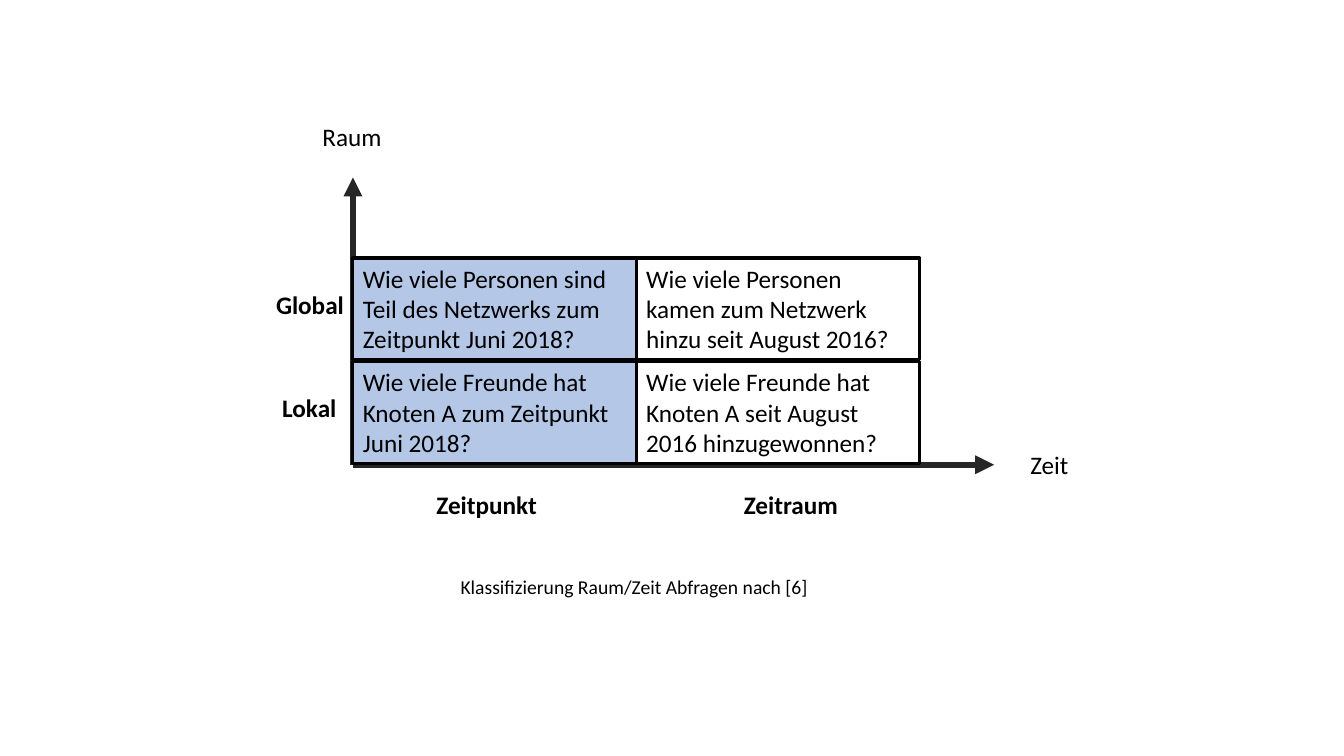
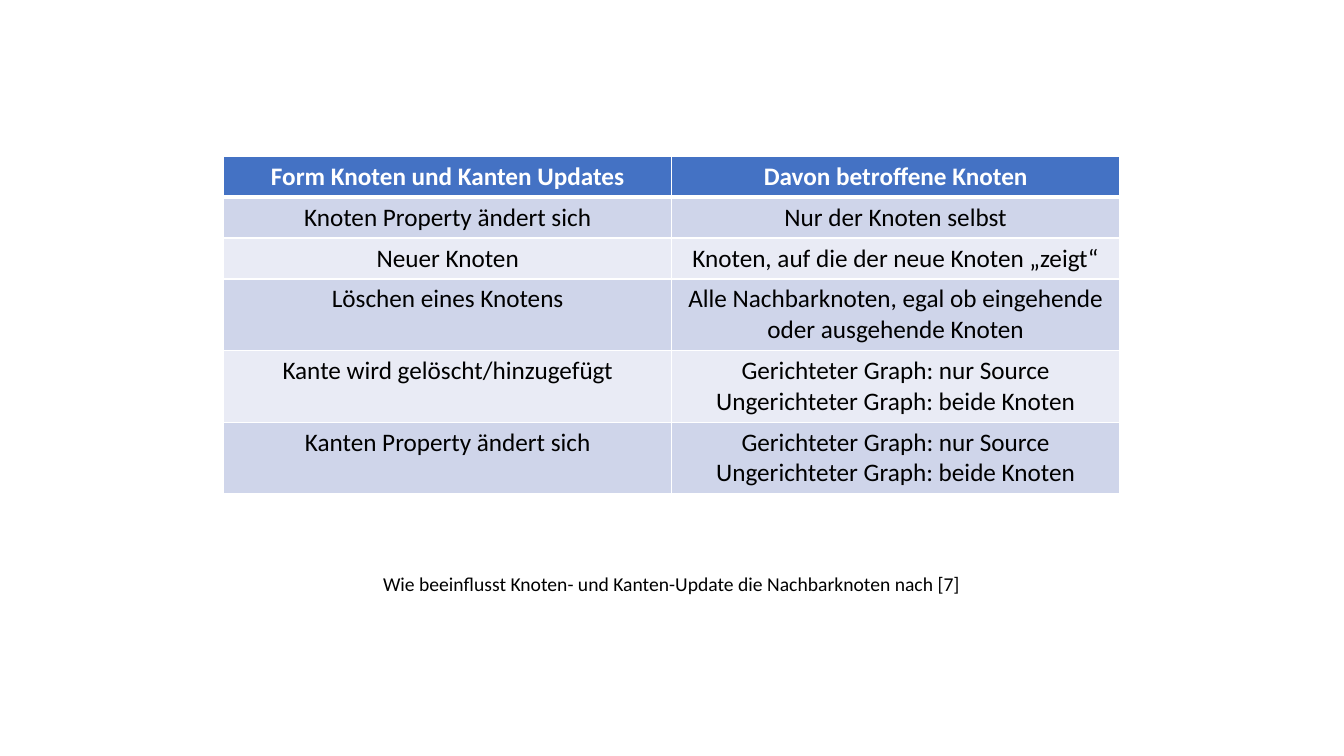
from dataclasses import dataclass
from typing import Any, Optional

from lxml import etree
from pptx import Presentation
from pptx import util as u
from pptx.dml.color import RGBColor
from pptx.enum import shapes, text
from pptx.oxml.ns import qn

SLIDE_WIDTH, SLIDE_HEIGHT = u.Inches(13.333), u.Inches(7.5)
BLANK_LAYOUT = 6

BLACK = RGBColor(0x00, 0x00, 0x00)
WHITE = RGBColor(0xFF, 0xFF, 0xFF)
AXIS_GREY = RGBColor(0x26, 0x26, 0x26)
POINT_BLUE = RGBColor(0xB4, 0xC7, 0xE7)
HEADER_BLUE = RGBColor(0x44, 0x72, 0xC4)
BANDS = (RGBColor(0xCF, 0xD5, 0xEA), RGBColor(0xE9, 0xEB, 0xF5))

BODY = {"name": "Calibri", "size": u.Pt(18), "bold": False}
BOLD = BODY | {"bold": True}
CAPTION = BODY | {"size": u.Pt(14)}

# All lengths below are percentages of the slide's width (x) or height (y).
MATRIX_LEFT, MATRIX_TOP = 26.26, 34.13
MATRIX_COLUMN, MATRIX_ROW = 21.08, 13.73
BOX_HEIGHT = 13.47
AXIS_Y = 61.47
LABEL_HEIGHT, CAPTION_HEIGHT = 5.33, 4.53
TABLE_LEFT, TABLE_TOP, TABLE_COLUMN = 16.65, 20.67, 33.33
ONE_LINE_ROW, TWO_LINE_ROW = 5.41, 9.47


@dataclass(frozen=True)
class Label:
    """An unwrapped line of text."""
    words: str
    left: float
    top: float
    width: float
    height: float = LABEL_HEIGHT
    style: Optional[dict] = None


@dataclass(frozen=True)
class Axis:
    """An arrow from the matrix corner to an end point."""
    end_x: float
    end_y: float


@dataclass(frozen=True)
class TableRow:
    """The two texts of a table row and its height."""
    update: str
    affected: str
    height: float = ONE_LINE_ROW


AXES = (Axis(MATRIX_LEFT, 23.47), Axis(73.97, AXIS_Y))
QUESTIONS = (
    ("Wie viele Personen sind Teil des Netzwerks zum Zeitpunkt Juni 2018?",
     "Wie viele Personen kamen zum Netzwerk hinzu seit August 2016?"),
    ("Wie viele Freunde hat Knoten A zum Zeitpunkt Juni 2018?",
     "Wie viele Freunde hat Knoten A seit August 2016 hinzugewonnen?"),
)
MATRIX_LABELS = (
    Label("Global", 19.8, 37.6, 6.6, style=BOLD),
    Label("Raum", 23.26, 15.33, 5.93),
    Label("Lokal", 20.26, 51.2, 5.63, style=BOLD),
    Label("Zeitpunkt", 31.73, 64, 9.08, style=BOLD),
    Label("Zeitraum", 54.61, 64, 8.55, style=BOLD),
    Label("Zeit", 75.92, 58.8, 4.35),
    Label("Klassifizierung Raum/Zeit Abfragen nach [6]",
          33.53, 75.33, 27.61, CAPTION_HEIGHT, CAPTION),
)
GRAPH_RULE = "Gerichteter Graph: nur Source\nUngerichteter Graph: beide Knoten"
TABLE_ROWS = (
    TableRow("Form Knoten und Kanten Updates", "Davon betroffene Knoten"),
    TableRow("Knoten Property ändert sich", "Nur der Knoten selbst"),
    TableRow("Neuer Knoten", "Knoten, auf die der neue Knoten „zeigt“"),
    TableRow("Löschen eines Knotens",
             "Alle Nachbarknoten, egal ob eingehende oder ausgehende Knoten",
             TWO_LINE_ROW),
    TableRow("Kante wird gelöscht/hinzugefügt", GRAPH_RULE, TWO_LINE_ROW),
    TableRow("Kanten Property ändert sich", GRAPH_RULE, TWO_LINE_ROW),
)
TABLE_CAPTION = Label(
    "Wie beeinflusst Knoten- und Kanten-Update die Nachbarknoten nach [7]",
    27.76, 74.93, 44.56, CAPTION_HEIGHT, CAPTION)


def across(share: float) -> int:
    """Turn a percentage of the slide's width into a length."""
    return round(SLIDE_WIDTH * share / 100)


def down(share: float) -> int:
    """Turn a percentage of the slide's height into a length."""
    return round(SLIDE_HEIGHT * share / 100)


def apply(target: Any, values: dict) -> None:
    """Set every attribute named in values."""
    for name, value in values.items():
        setattr(target, name, value)


def write(frame: Any, words: str, style: dict, color: RGBColor = BLACK,
          alignment: Any = text.PP_ALIGN.LEFT) -> None:
    """Fill a text frame, one paragraph per line."""
    frame.text = words
    for paragraph in frame.paragraphs:
        paragraph.alignment = alignment
        for run in paragraph.runs:
            apply(run.font, style)
            run.font.color.rgb = color


def draw_label(slide: Any, label: Label) -> None:
    """Draw an unwrapped text box."""
    box = slide.shapes.add_textbox(across(label.left), down(label.top),
                                   across(label.width), down(label.height))
    apply(box.text_frame, {"word_wrap": False,
                           "auto_size": text.MSO_AUTO_SIZE.SHAPE_TO_FIT_TEXT})
    write(box.text_frame, label.words, label.style or BODY)


def draw_axis(slide: Any, axis: Axis) -> None:
    """Draw an arrow from the lower left corner of the matrix."""
    connector = slide.shapes.add_connector(
        shapes.MSO_CONNECTOR.STRAIGHT, across(MATRIX_LEFT), down(AXIS_Y),
        across(axis.end_x), down(axis.end_y))
    connector.line.color.rgb = AXIS_GREY
    connector.line.width = u.Pt(4.5)
    properties = connector.element.find(qn("p:spPr"))
    etree.SubElement(properties.find(qn("a:ln")), qn("a:tailEnd"),
                     type="triangle")
    etree.SubElement(properties, qn("a:effectLst"))


def draw_question(slide: Any, column: int, row: int, words: str) -> None:
    """Draw one box of the matrix; the first column is blue."""
    box = slide.shapes.add_shape(
        shapes.MSO_SHAPE.RECTANGLE,
        across(MATRIX_LEFT + column * MATRIX_COLUMN),
        down(MATRIX_TOP + row * MATRIX_ROW),
        across(MATRIX_COLUMN), down(BOX_HEIGHT))
    box.shadow.inherit = False
    if column == 0:
        box.fill.solid()
        box.fill.fore_color.rgb = POINT_BLUE
    else:
        box.fill.background()
    box.line.color.rgb = BLACK
    box.line.width = u.Pt(2.25)
    apply(box.text_frame, {"word_wrap": True,
                           "vertical_anchor": text.MSO_ANCHOR.TOP,
                           "auto_size": text.MSO_AUTO_SIZE.SHAPE_TO_FIT_TEXT})
    write(box.text_frame, words, BODY)


def set_borders(cell: Any, widths: dict[str, float]) -> None:
    """Give a cell white borders, ahead of its fill in the XML."""
    properties = cell._tc.get_or_add_tcPr()
    for index, (side, points) in enumerate(widths.items()):
        line = etree.Element(qn(f"a:ln{side}"), w=str(u.Pt(points)))
        fill = etree.SubElement(line, qn("a:solidFill"))
        etree.SubElement(fill, qn("a:srgbClr"), val=str(WHITE))
        properties.insert(index, line)


def draw_table(slide: Any, rows: tuple[TableRow, ...]) -> None:
    """Draw a table with a header and banded rows."""
    table = slide.shapes.add_table(
        len(rows), 2, across(TABLE_LEFT), down(TABLE_TOP),
        across(2 * TABLE_COLUMN), down(sum(row.height for row in rows))).table
    for column in table.columns:
        column.width = across(TABLE_COLUMN)
    for index, row in enumerate(rows):
        header = index == 0
        table.rows[index].height = down(row.height)
        for column, words in enumerate((row.update, row.affected)):
            cell = table.cell(index, column)
            cell.fill.solid()
            cell.fill.fore_color.rgb = (HEADER_BLUE if header
                                        else BANDS[(index - 1) % 2])
            set_borders(cell, {"L": 1, "R": 1, "T": 3 if index == 1 else 1,
                               "B": 3 if header else 1})
            write(cell.text_frame, words, BOLD if header else BODY,
                  WHITE if header else BLACK, text.PP_ALIGN.CENTER)


def build_matrix_slide(slide: Any) -> None:
    """Draw the matrix of space and time queries."""
    for axis in AXES:
        draw_axis(slide, axis)
    for row, questions in enumerate(QUESTIONS):
        for column, words in enumerate(questions):
            draw_question(slide, column, row, words)
    for label in MATRIX_LABELS:
        draw_label(slide, label)


def build_update_slide(slide: Any) -> None:
    """Draw the table of updates and affected nodes."""
    draw_table(slide, TABLE_ROWS)
    draw_label(slide, TABLE_CAPTION)


def main() -> None:
    """Build and save the presentation."""
    presentation = Presentation()
    apply(presentation, {"slide_width": SLIDE_WIDTH,
                         "slide_height": SLIDE_HEIGHT})
    layout = presentation.slide_layouts[BLANK_LAYOUT]
    for build in (build_matrix_slide, build_update_slide):
        build(presentation.slides.add_slide(layout))
    presentation.save("out.pptx")


main()
